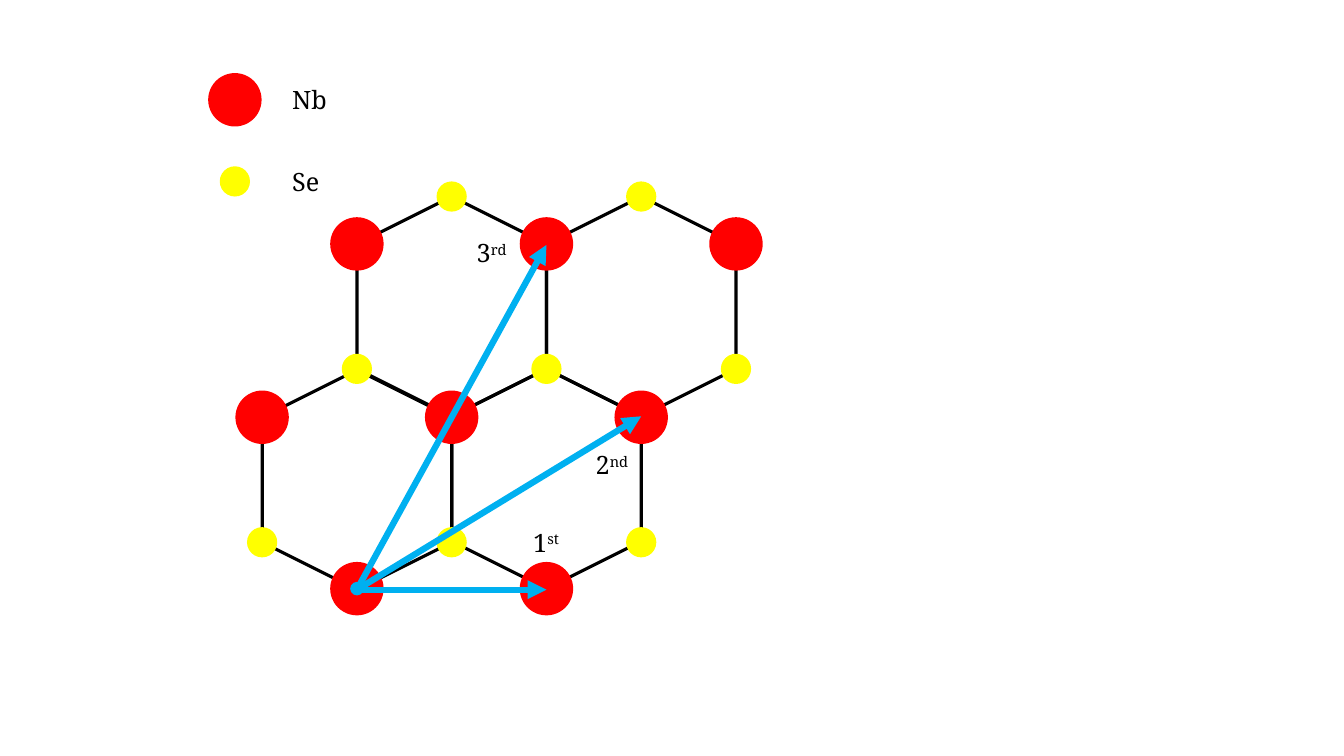
from lxml import etree
from pptx import Presentation
from pptx.dml.color import RGBColor
from pptx.enum import shapes, text
from pptx.oxml import ns
from pptx.util import Inches, Pt

RED = RGBColor(0xFF, 0, 0)
YELLOW = RGBColor(0xFF, 0xFF, 0)
BLUE = RGBColor(0, 0xB0, 0xF0)
BLACK = RGBColor(0, 0, 0)
FONT = "Noto Serif"
LEFT, STEP = 2.6, 0.94
NB, SE = (0.53, RED), (0.3, YELLOW)
CELLS = [(4, 3.04), (2, 3.04), (3, 4.75), (1, 4.76)]
ROWS = [
    (SE, 1.95, (2, 4)),
    (NB, 2.42, (1, 3, 5)),
    (SE, 3.66, (1, 3, 5)),
    (NB, 4.14, (0, 2, 4)),
    (SE, 5.38, (0, 2, 4)),
    (NB, 5.84, (1, 3)),
]
KEYS = [("Nb", NB, 0.99), ("Se", SE, 1.8)]
START = (1, 5.85)
ENDS = [(3, 5.85), (4, 4.13), (3, 2.43)]
MARKS = [("1", "st", 5.19, 5.18, 0.47), ("2", "nd", 5.81, 4.41, 0.57),
         ("3", "rd", 4.63, 2.31, 0.52)]


def col(num):
    """Return the centre of a lattice column in inches."""
    return LEFT + STEP * num


def add_shape(group, kind, x, y, wide, high):
    """Add a preset shape centred on a point."""
    shape = group.shapes.add_shape(kind, Inches(x - wide / 2), Inches(y - high / 2),
                                   Inches(wide), Inches(high))
    shape.shadow.inherit = False
    return shape


def add_cell(group, x, y):
    """Add one hexagon of bonds standing on its point."""
    cell = add_shape(group, shapes.MSO_SHAPE.HEXAGON, x, y, 2.18, 1.88)
    cell.rotation = 90
    cell.fill.background()
    cell.line.color.rgb = BLACK
    cell.line.width = Pt(2.25)


def add_dot(group, x, y, size, color):
    """Add a filled circle without an outline."""
    dot = add_shape(group, shapes.MSO_SHAPE.OVAL, x, y, size, size)
    dot.fill.solid()
    dot.fill.fore_color.rgb = color
    dot.line.fill.background()
    return dot


def add_arrow(group, start, end):
    """Add a blue arrow between two lattice points."""
    ends = [Inches(v) for num, y in (start, end) for v in (col(num), y)]
    arrow = group.shapes.add_connector(shapes.MSO_CONNECTOR.STRAIGHT, *ends)
    arrow.line.color.rgb = BLUE
    arrow.line.width = Pt(4.5)
    etree.SubElement(arrow.line._get_or_add_ln(), ns.qn("a:tailEnd"), type="triangle")
    etree.SubElement(arrow._element.spPr, ns.qn("a:effectLst"))


def add_label(group, words, x, y, wide, raised=""):
    """Add a label with an optional raised ending."""
    box = group.shapes.add_textbox(Inches(x), Inches(y), Inches(wide), Inches(0.4))
    frame = box.text_frame
    frame.word_wrap = True
    frame.auto_size = text.MSO_AUTO_SIZE.SHAPE_TO_FIT_TEXT
    para = frame.paragraphs[0]
    para.text = words
    if raised:
        run = para.add_run()
        run.text = raised
        run._r.get_or_add_rPr().set("baseline", "30000")
    for run in para.runs:
        run.font.name = FONT
        run.font.size = Pt(18)
        run.font.color.rgb = BLACK


def main():
    """Build the lattice slide and save it."""
    deck = Presentation()
    deck.slide_width, deck.slide_height = Inches(13.33), Inches(7.5)
    slide = deck.slides.add_slide(deck.slide_layouts[6])
    group = slide.shapes.add_group_shape()
    for num, y in CELLS:
        add_cell(group, col(num), y)
    for atom, y, cols in ROWS:
        for num in cols:
            add_dot(group, col(num), y, *atom)
    for name, atom, y in KEYS:
        add_dot(group, 2.33, y, *atom)
        add_label(group, name, 2.8, y - 0.2, 1.2)
    for end in ENDS:
        add_arrow(group, START, end)
    origin = add_dot(group, col(1), 5.84, 0.12, BLUE)
    origin.line.color.rgb = BLUE
    origin.line.width = Pt(1)
    for digit, raised, x, y, wide in MARKS:
        add_label(group, digit, x, y, wide, raised)
    deck.save("out.pptx")


main()
